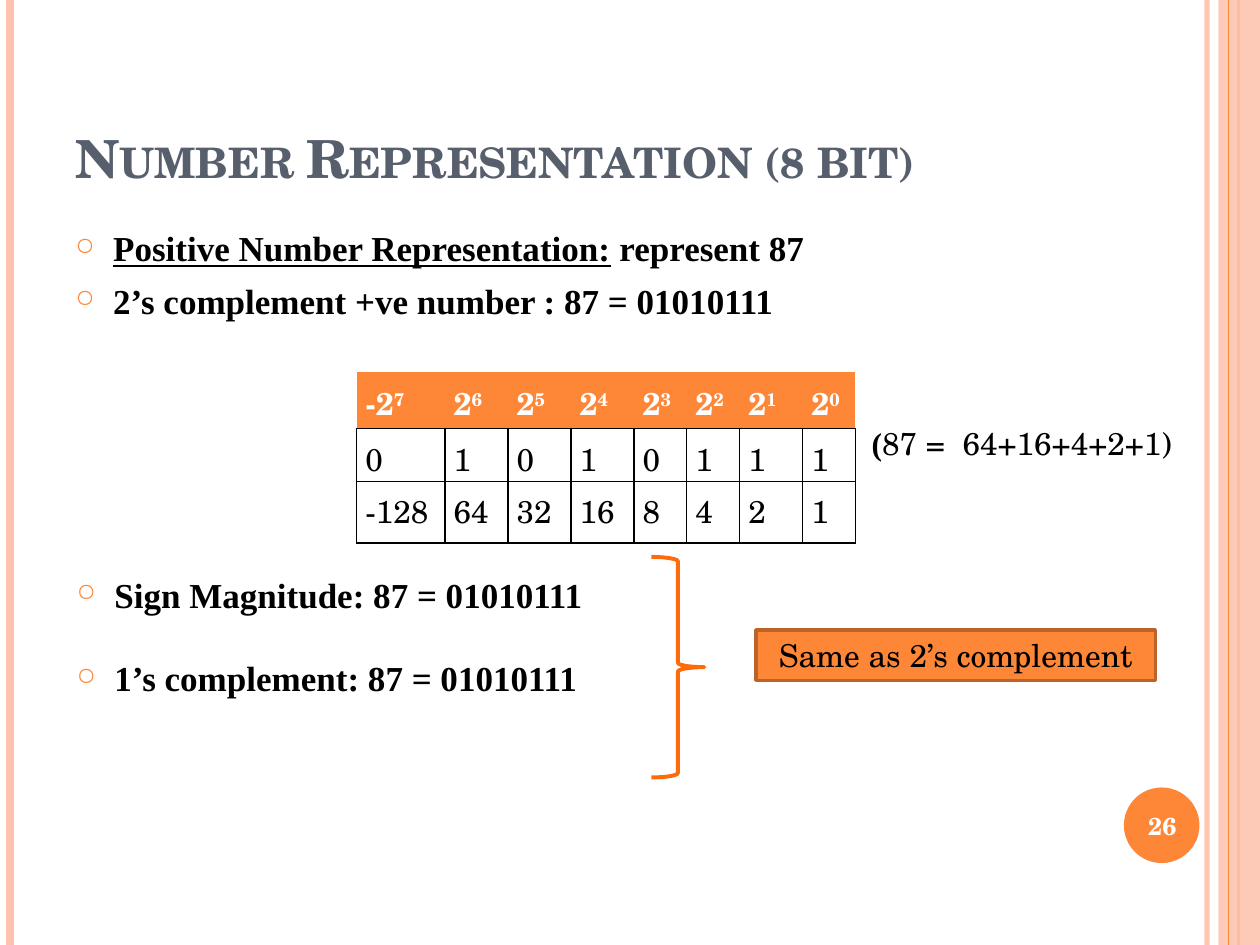
from lxml.etree import SubElement
from pptx import Presentation
from pptx.dml.color import RGBColor
from pptx.enum.shapes import MSO_CONNECTOR, MSO_SHAPE
from pptx.enum.text import MSO_ANCHOR, PP_ALIGN
from pptx.oxml import parse_xml
from pptx.oxml.ns import nsdecls, qn
from pptx.util import Inches, Pt

SERIF = "TeX Gyre Schola"
TIMES = "Times New Roman"
ORANGE, PEACH, SLATE = "FE8637", "FEC3AE", "575F6D"
BLACK, WHITE = "000000", "FFFFFF"


def rgb(value):
    """Turn a hex string into a colour."""
    return RGBColor.from_string(value)


def box(left, top, width, height):
    """Give a position and size in inches."""
    return [Inches(v) for v in (left, top, width, height)]


def set_alpha(color_format, percent):
    """Make a solid colour partly transparent."""
    for clr in color_format.iter(qn("a:srgbClr")):
        SubElement(clr, qn("a:alpha")).set("val", str(percent * 1000))


def add_run(p, text, size, font=SERIF, color=BLACK, bold=False, **attrs):
    """Add a formatted run, with further run attributes by name."""
    r = p.add_run()
    r.text = text
    r.font.size = Pt(size)
    r.font.name = font
    r.font.bold = bold
    r.font.color.rgb = rgb(color)
    for name, value in attrs.items():
        r.font._element.set(name, value)


def add_rule(s, x, color, width, alpha=None):
    """Add a vertical rule over the full slide height."""
    line = s.shapes.add_connector(
        MSO_CONNECTOR.STRAIGHT, Inches(x), 0, Inches(x), Inches(7.5))
    line.line.color.rgb = rgb(color)
    line.line.width = Pt(width)
    sp_pr = line._element.spPr
    if alpha:
        set_alpha(sp_pr, alpha)
    SubElement(sp_pr, qn("a:effectLst"))


def add_shape(s, kind, place, fill=None, line=None, width=1, alpha=None):
    """Add a flat preset shape."""
    sp = s.shapes.add_shape(kind, *box(*place))
    sp.shadow.inherit = False
    if fill:
        sp.fill.solid()
        sp.fill.fore_color.rgb = rgb(fill)
        if alpha:
            set_alpha(sp._element.spPr, alpha)
    else:
        sp.fill.background()
    if line:
        sp.line.color.rgb = rgb(line)
        sp.line.width = Pt(width)
    else:
        sp.line.fill.background()
    return sp


def add_text(s, place, wrap=True):
    """Add an empty text box and return its frame."""
    tf = s.shapes.add_textbox(*box(*place)).text_frame
    tf.word_wrap = wrap
    return tf


def center(tf):
    """Centre a frame both ways and return its first paragraph."""
    tf.vertical_anchor = MSO_ANCHOR.MIDDLE
    p = tf.paragraphs[0]
    p.alignment = PP_ALIGN.CENTER
    return p


def add_bullets(s, place, items):
    """Add bulleted paragraphs, each a list of (text, underline) runs."""
    tf = add_text(s, place)
    for i, runs in enumerate(items):
        p = tf.add_paragraph() if i else tf.paragraphs[0]
        p.space_before = Pt(6)
        p_pr = p._p.get_or_add_pPr()
        p_pr.set("marL", str(Inches(0.3)))
        p_pr.set("indent", str(-Inches(0.3)))
        clr = SubElement(p_pr, qn("a:buClr"))
        SubElement(clr, qn("a:srgbClr")).set("val", ORANGE)
        SubElement(p_pr, qn("a:buSzPct")).set("val", "70000")
        SubElement(p_pr, qn("a:buChar")).set("char", "○")
        for text, underline in runs:
            add_run(p, text, 20, TIMES, bold=True, u="sng" if underline else "none")


def set_borders(cell, sides):
    """Draw black borders on the named sides and none on the others."""
    tc_pr = cell._tc.get_or_add_tcPr()
    for i, side in enumerate("LRTB"):
        paint = (f'<a:solidFill><a:srgbClr val="{BLACK}"/></a:solidFill>'
                 if side in sides else "<a:noFill/>")
        tc_pr.insert(i, parse_xml(
            f'<a:ln{side} {nsdecls("a")} w="12700">{paint}</a:ln{side}>'))


def add_bit_table(s):
    """Add the table of powers, bits and place values."""
    widths = [0.7, 0.5, 0.5, 0.5, 0.42, 0.42, 0.5, 0.42]
    heights = [0.45, 0.42, 0.49]
    bits = "01010111"
    powers = range(len(bits) - 1, -1, -1)
    table = s.shapes.add_table(
        len(heights), len(widths),
        *box(2.83, 2.95, sum(widths), sum(heights))).table
    for row, height in zip(table.rows, heights):
        row.height = Inches(height)
    for c, (width, bit, power) in enumerate(zip(widths, bits, powers)):
        table.columns[c].width = Inches(width)
        sign = "-" if c == 0 else ""
        for r, text in enumerate([f"{sign}2", bit, f"{sign}{2 ** power}"]):
            cell = table.cell(r, c)
            cell.margin_left = cell.margin_right = Inches(0.07)
            cell.margin_top = cell.margin_bottom = 0
            cell.fill.solid()
            cell.fill.fore_color.rgb = rgb(WHITE if r else ORANGE)
            set_borders(cell, "LRTB" if r else "B")
            p = cell.text_frame.paragraphs[0]
            p.line_spacing = 1.15
            if r:
                add_run(p, text, 18)
            else:
                add_run(p, text, 18, color=WHITE, bold=True)
                add_run(p, str(power), 18, color=WHITE, bold=True, baseline="30000")


def add_title(s, text):
    """Place and fill the title."""
    title = s.shapes.title
    title.left, title.top, title.width, title.height = box(0.5, 0.3, 8.17, 1.25)
    tf = title.text_frame
    tf.vertical_anchor = MSO_ANCHOR.BOTTOM
    p = tf.paragraphs[0]
    p.alignment = PP_ALIGN.LEFT
    add_run(p, text, 30, color=SLATE, bold=True, cap="small")


def add_frame(s):
    """Add the side rules, the band and the page number disc."""
    add_rule(s, 9.58, PEACH, 3, 93)
    add_rule(s, 0.08, PEACH, 4.5)
    add_rule(s, 9.83, ORANGE, 1.5)
    add_shape(s, MSO_SHAPE.RECTANGLE, (9.67, 0, 0.33, 7.5), PEACH, alpha=87)
    add_rule(s, 9.75, ORANGE, 0.75)
    add_shape(s, MSO_SHAPE.OVAL, (8.92, 6.25, 0.6, 0.6), ORANGE)
    p = center(add_text(s, (8.89, 6.27, 0.67, 0.57)))
    add_run(p, "26", 14, color=WHITE, bold=True)


def main():
    """Build the slide and save it."""
    prs = Presentation()
    prs.slide_width, prs.slide_height = Inches(10), Inches(7.5)
    s = prs.slides.add_slide(prs.slide_layouts[5])
    add_frame(s)
    add_title(s, "Number Representation (8 bit)")
    add_bullets(s, (0.5, 1.75, 8.92, 1), [
        [("Positive Number Representation:", True), (" represent 87", False)],
        [("2’s complement +ve number : 87 = 01010111", False)]])
    add_bit_table(s)
    add_bullets(s, (0.51, 4.5, 5.33, 0.5), [[("Sign Magnitude: 87 = 01010111", False)]])
    p = add_text(s, (6.82, 3.32, 2.61, 0.4), wrap=False).paragraphs[0]
    add_run(p, "(", 18, TIMES, bold=True)
    add_run(p, "87 =  64+16+4+2+1)", 18)
    add_bullets(s, (0.51, 5.16, 5.33, 0.5), [[("1’s complement: 87 = 01010111", False)]])
    add_shape(s, MSO_SHAPE.RIGHT_BRACE, (5.17, 4.42, 0.42, 1.75), line="FF6B0A", width=2.25)
    note = add_shape(s, MSO_SHAPE.RECTANGLE, (6, 5, 3.17, 0.4), ORANGE, "BC6329", 2)
    add_run(center(note.text_frame), "Same as 2’s complement", 18)
    prs.save("out.pptx")


if __name__ == "__main__":
    main()
